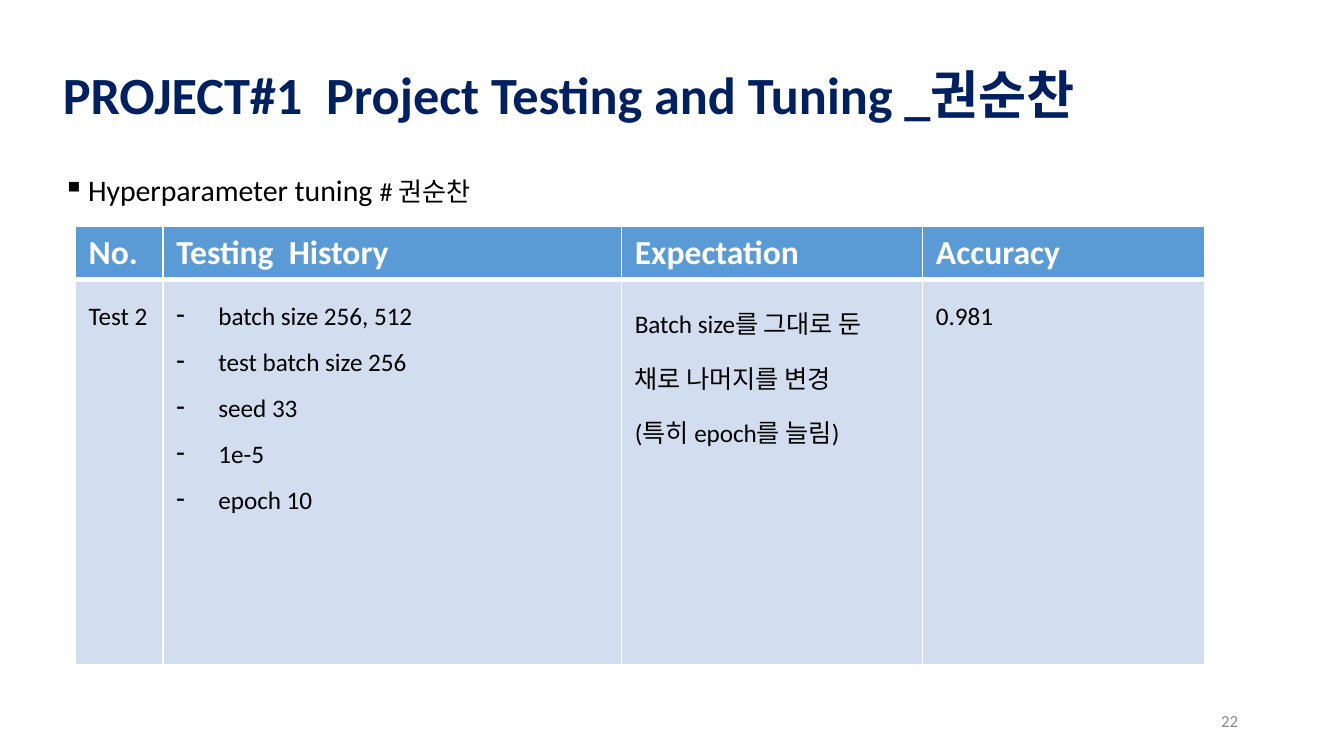
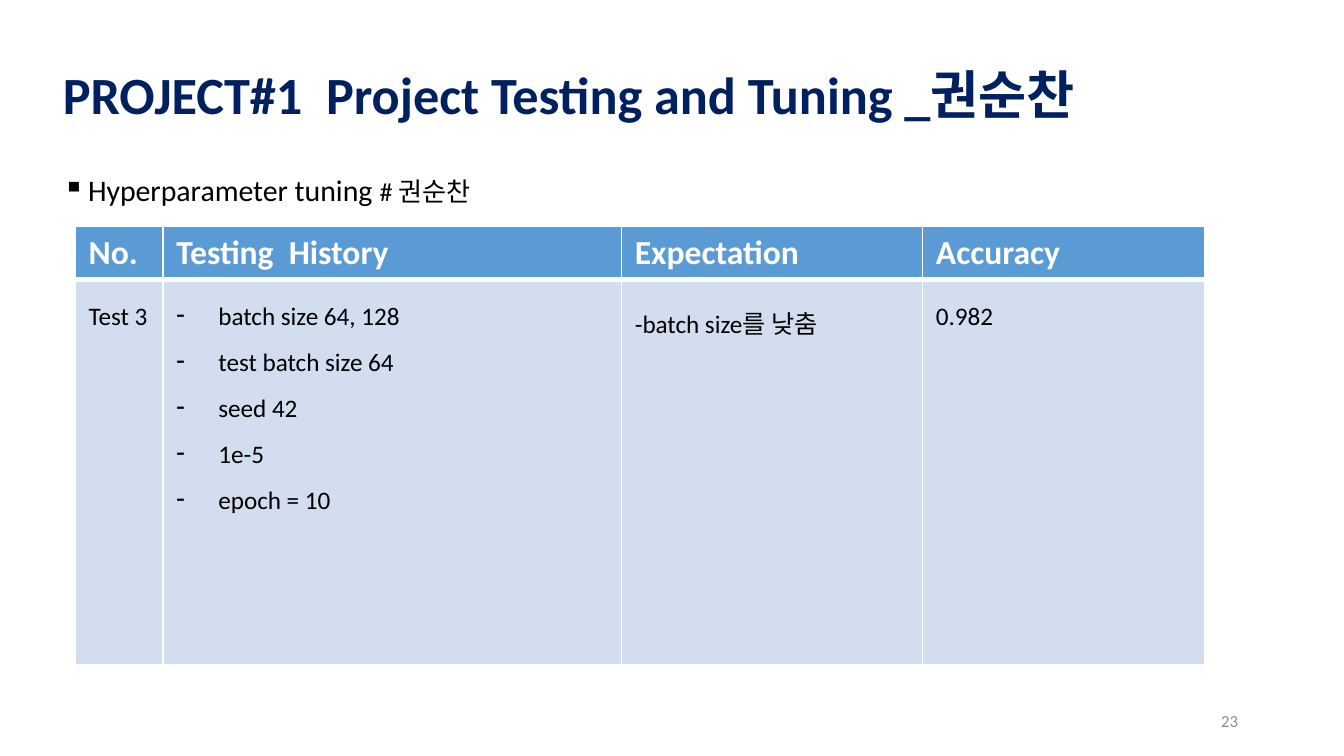
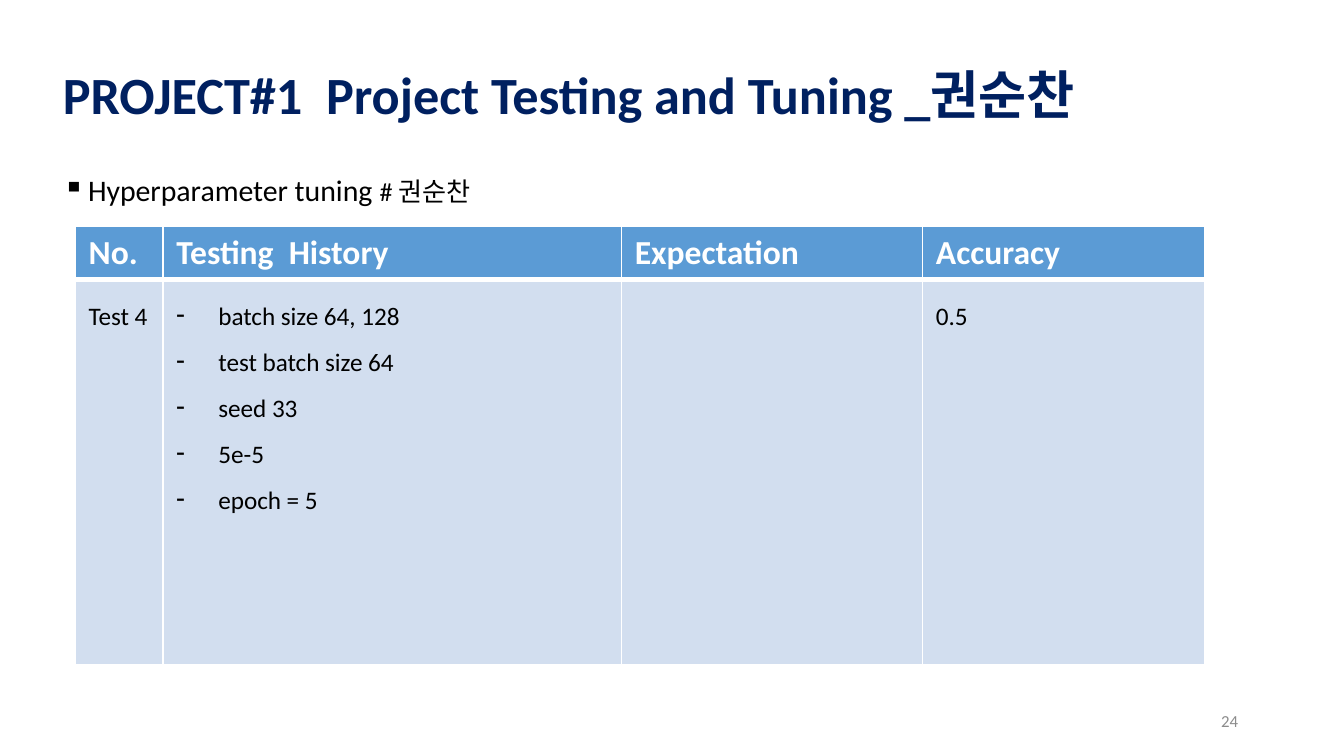
from dataclasses import dataclass

from lxml.etree import SubElement
from pptx import Presentation
from pptx.dml.color import RGBColor as Color
from pptx.enum.shapes import MSO_SHAPE as Shape
from pptx.enum.text import MSO_ANCHOR as Anchor, PP_ALIGN as Align
from pptx.oxml.ns import qn
from pptx.util import Pt


@dataclass(frozen=True)
class Theme:
    """Colours and type sizes shared by all slides."""
    font: str = "Calibri"
    white: str = "FFFFFF"
    black: str = "000000"
    navy: str = "002060"
    grey: str = "8C8C8C"
    header: str = "5B9BD5"
    body: str = "D2DEEF"
    title_size: float = 28
    topic_size: float = 16
    name_size: float = 14
    header_size: float = 18
    cell_size: float = 13.5
    number_size: float = 9


THEME = Theme()
TITLE = "PROJECT#1  Project Testing and Tuning _권순찬"
TOPIC = (("Hyperparameter tuning ", THEME.topic_size), ("# 권순찬", THEME.name_size))
HEADINGS = ("No.", "Testing  History", "Expectation", "Accuracy")
COLUMN_WIDTHS = (47, 245.6, 161.3, 151.2)
ROW_HEIGHTS = (28.4, 206.4)
FIRST_NUMBER = 22
TESTS = (
    ("Test 2",
     ("batch size 256, 512", "test batch size 256", "seed 33", "1e-5", "epoch 10"),
     ("Batch size를 그대로 둔 채로 나머지를 변경", "(특히 epoch를 늘림)"),
     "0.981"),
    ("Test 3",
     ("batch size 64, 128", "test batch size 64", "seed 42", "1e-5", "epoch = 10"),
     ("-batch size를 낮춤",),
     "0.982"),
    ("Test 4",
     ("batch size 64, 128", "test batch size 64", "seed 33", "5e-5", "epoch = 5"),
     (),
     "0.5"),
)


def set_font(font, size, color, bold=False):
    """Apply the theme typeface with a size, colour and weight."""
    font.name = THEME.font
    font.size = Pt(size)
    font.bold = bold
    font.color.rgb = Color.from_string(color)


def set_bullet(para, mark, indent):
    """Give a paragraph a hanging bullet."""
    props = para._p.get_or_add_pPr()
    props.set("marL", str(Pt(indent)))
    props.set("indent", str(-Pt(indent)))
    SubElement(props, qn("a:buChar"), char=mark)


def set_borders(cell, left=1, right=1, top=1, bottom=1):
    """Draw white borders of the given widths around a cell."""
    props = cell._tc.get_or_add_tcPr()
    for side, width in zip("LRTB", (left, right, top, bottom)):
        line = SubElement(props, qn(f"a:ln{side}"), w=str(Pt(width)))
        fill = SubElement(line, qn("a:solidFill"))
        SubElement(fill, qn("a:srgbClr"), val=THEME.white)


def set_fill(target, color):
    """Fill a shape or cell with one colour."""
    target.fill.solid()
    target.fill.fore_color.rgb = Color.from_string(color)


def write_lines(frame, lines, size, color, bold=False, spacing=None, align=Align.LEFT, mark=None):
    """Write one uniformly styled paragraph per line."""
    for index, line in enumerate(lines):
        para = frame.add_paragraph() if index else frame.paragraphs[0]
        para.text = line
        para.alignment = align
        para.line_spacing = spacing
        if mark:
            set_bullet(para, mark, 22.5)
        set_font(para.font, size, color, bold)


def add_title(page):
    """Add the white title band."""
    band = page.shapes.add_shape(Shape.RECTANGLE, Pt(26.6), Pt(20.2), Pt(633), Pt(59.8))
    band.shadow.inherit = False
    set_fill(band, THEME.white)
    band.line.fill.background()
    band.text_frame.vertical_anchor = Anchor.MIDDLE
    write_lines(band.text_frame, [TITLE], THEME.title_size, THEME.navy, bold=True)


def add_topic(page):
    """Add the bulleted topic line."""
    box = page.shapes.add_textbox(Pt(26.6), Pt(90.7), Pt(555.8), Pt(274.3))
    box.text_frame.word_wrap = True
    para = box.text_frame.paragraphs[0]
    para.line_spacing = 0.9
    para.space_before = Pt(7.5)
    set_bullet(para, "▪", 13.5)
    for text, size in TOPIC:
        span = para.add_run()
        span.text = text
        set_font(span.font, size, THEME.black)


def add_number(page, number):
    """Add the slide number at the lower right."""
    box = page.shapes.add_textbox(Pt(508.3), Pt(375.1), Pt(162), Pt(21.6))
    box.text_frame.word_wrap = True
    box.text_frame.vertical_anchor = Anchor.MIDDLE
    write_lines(box.text_frame, [str(number)], THEME.number_size, THEME.grey, align=Align.RIGHT)


def add_results(page, test):
    """Add the table that records one test."""
    name, settings, expectation, accuracy = test
    frame = page.shapes.add_table(2, len(HEADINGS), Pt(40.3), Pt(121),
                                  Pt(sum(COLUMN_WIDTHS)), Pt(sum(ROW_HEIGHTS)))
    table = frame.table
    table.horz_banding = False
    for column, width in zip(table.columns, COLUMN_WIDTHS):
        column.width = Pt(width)
    for row, height in zip(table.rows, ROW_HEIGHTS):
        row.height = Pt(height)
    contents = ((name,), settings, expectation, (accuracy,))
    for index, (heading, lines) in enumerate(zip(HEADINGS, contents)):
        top, cell = table.cell(0, index), table.cell(1, index)
        set_borders(top, bottom=3)
        set_fill(top, THEME.header)
        write_lines(top.text_frame, [heading], THEME.header_size, THEME.white, bold=True)
        set_borders(cell, top=3)
        set_fill(cell, THEME.body)
        is_list = lines is settings
        write_lines(cell.text_frame, lines, THEME.cell_size, THEME.black, spacing=1.5,
                    align=Align.JUSTIFY if is_list else Align.LEFT,
                    mark="-" if is_list else None)


def main():
    """Build and save the deck."""
    deck = Presentation()
    deck.slide_width, deck.slide_height = Pt(720), Pt(405)
    for number, test in enumerate(TESTS, FIRST_NUMBER):
        page = deck.slides.add_slide(deck.slide_layouts[6])
        add_topic(page)
        add_number(page, number)
        add_title(page)
        add_results(page, test)
    deck.save("out.pptx")


main()
